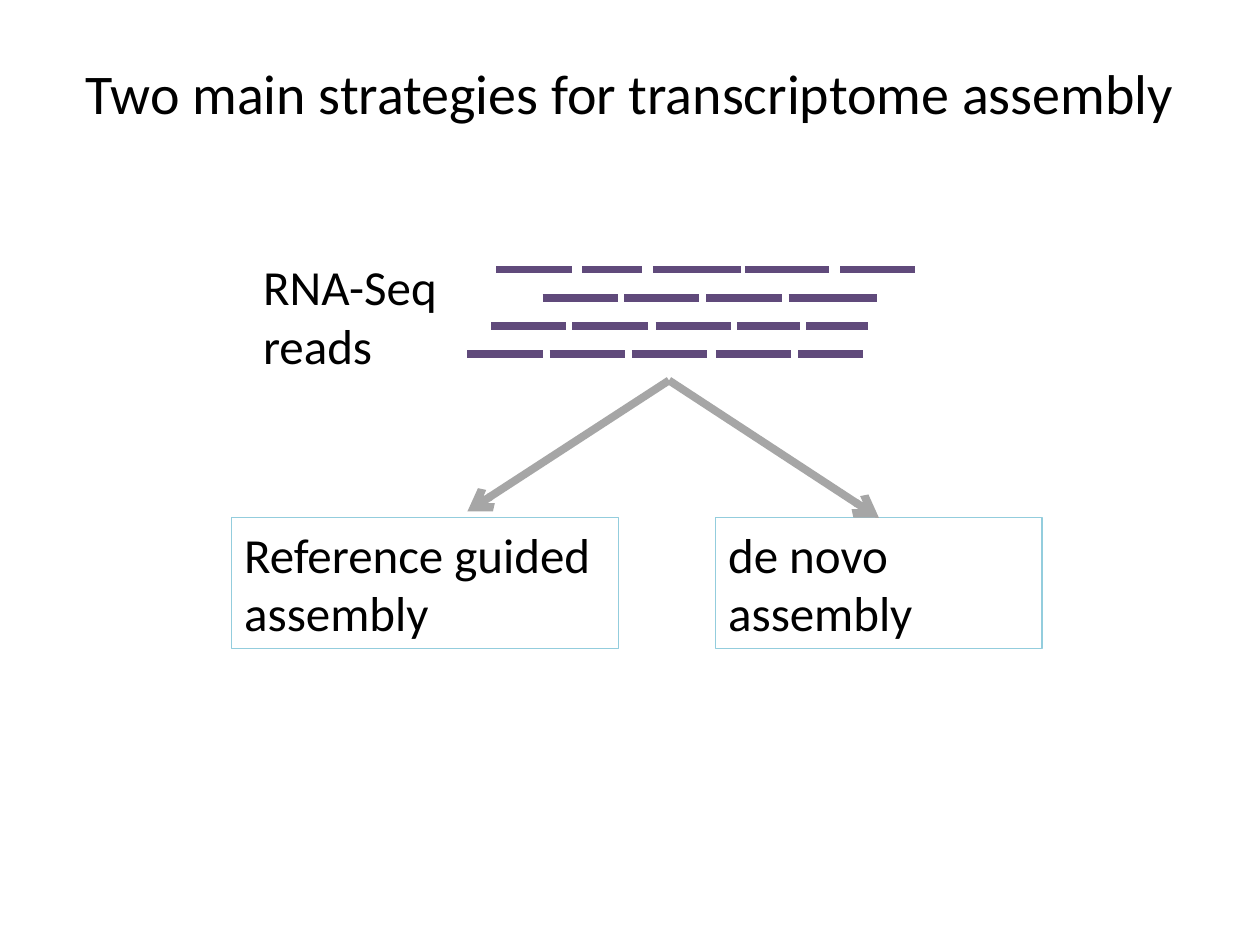
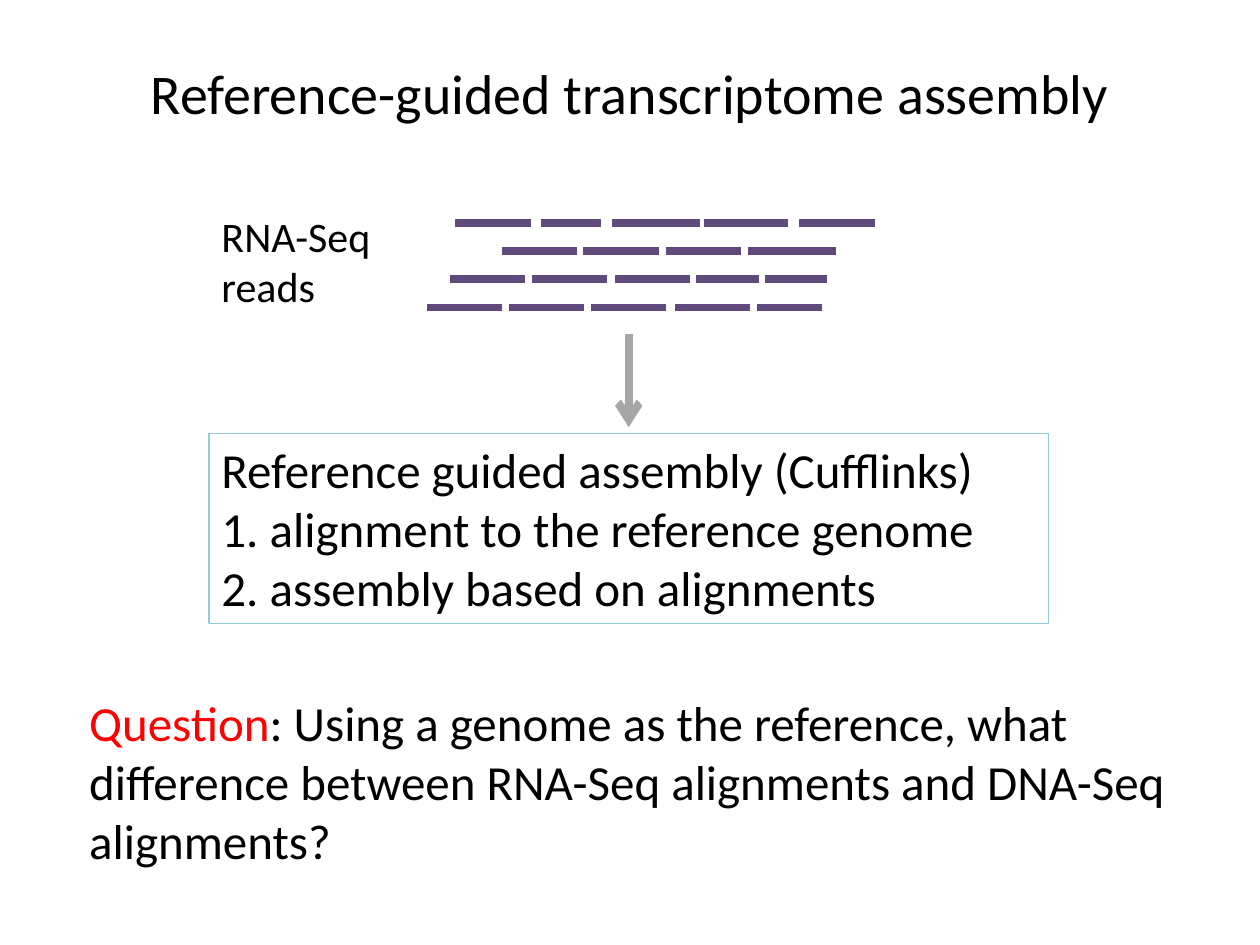
from pptx import Presentation
from pptx.dml.color import RGBColor
from pptx.enum.shapes import MSO_CONNECTOR
from pptx.enum.text import MSO_ANCHOR, MSO_AUTO_SIZE, PP_ALIGN
from pptx.oxml.ns import qn
from pptx.util import Pt
from lxml import etree

STRAIGHT = MSO_CONNECTOR.STRAIGHT
MIDDLE = MSO_ANCHOR.MIDDLE
GROW = MSO_AUTO_SIZE.SHAPE_TO_FIT_TEXT
CENTER = PP_ALIGN.CENTER

FONT = "Calibri"
COLORS = {
    "text": "000000",
    "read": "604A7B",
    "arrow": "A6A6A6",
    "box": "93CDDD",
    "question": "FF0000",
}
TITLE_ONLY = 5
ROW_PITCH = 16.1

# Offset from the left edge of the reads and length, for each row
READ_ROWS = [
    [(16.5, 43), (65.5, 34), (106, 50.5), (158.5, 48), (213, 43)],
    [(43, 43), (89.5, 43), (136.5, 43), (183.5, 50.5)],
    [(13.5, 43), (60, 43), (107.5, 43), (154, 36), (193.5, 35.5)],
    [(0, 43), (47, 43), (94, 43), (142, 43), (189, 37)],
]


def add_line(shapes, start, end, color, arrow=False):
    line = shapes.add_connector(STRAIGHT, *map(Pt, start + end))
    line.line.color.rgb = RGBColor.from_string(COLORS[color])
    line.line.width = Pt(4.5)
    properties = line._element.spPr
    if arrow:
        outline = properties.find(qn("a:ln"))
        etree.SubElement(outline, qn("a:tailEnd"), type="arrow")
    etree.SubElement(properties, qn("a:effectLst"))
    return line


def add_text(slide, text, area, size=28, outlined=False, wrap=True):
    shape = slide.shapes.add_textbox(*map(Pt, area))
    frame = shape.text_frame
    frame.word_wrap = wrap
    frame.auto_size = GROW
    frame.text = text
    for paragraph in frame.paragraphs:
        paragraph.font.name = FONT
        paragraph.font.size = Pt(size)
        paragraph.font.color.rgb = RGBColor.from_string(COLORS["text"])
    if outlined:
        shape.line.color.rgb = RGBColor.from_string(COLORS["box"])
        shape.line.width = Pt(0.75)
    return shape


presentation = Presentation()
presentation.slide_width = Pt(720)
presentation.slide_height = Pt(540)

# Title, top left of the reads, area and size of their label
slide_plans = [
    ("Two main strategies for transcriptome assembly",
     (267.1, 154), (143.3, 143.3, 115.2, 74.9), 28),
    ("Reference-guided transcriptome assembly",
     (243.8, 127.4), (119.5, 116.6, 100.8, 65.5), 24),
]
slides = []
for title_text, (reads_left, reads_top), label_area, label_size in slide_plans:
    slide = presentation.slides.add_slide(presentation.slide_layouts[TITLE_ONLY])
    slides.append(slide)

    title = slide.shapes.title
    title.left, title.top, title.width, title.height = map(Pt, (36, 21.6, 648, 62.4))
    title.text_frame.text = title_text
    title.text_frame.vertical_anchor = MIDDLE
    paragraph = title.text_frame.paragraphs[0]
    paragraph.alignment = CENTER
    paragraph.font.name = FONT
    paragraph.font.size = Pt(32)
    paragraph.font.color.rgb = RGBColor.from_string(COLORS["text"])

    for row, reads in enumerate(READ_ROWS):
        group = slide.shapes.add_group_shape()
        y = reads_top + row * ROW_PITCH
        for offset, length in reads:
            x = reads_left + offset
            add_line(group.shapes, (x, y), (x + length, y), "read")

    add_text(slide, "RNA-Seq\nreads", label_area, label_size, wrap=False)

strategies_slide, guided_slide = slides

# Two strategies
fork = (382.3, 217.4)
add_line(strategies_slide.shapes, fork, (267.1, 292.3), "arrow", arrow=True)
add_text(strategies_slide, "Reference guided\nassembly",
         (132.5, 295.9, 221, 74.9), outlined=True)
de_novo_box = add_text(strategies_slide, "de novo assembly",
                       (409, 295.9, 186.5, 74.9), outlined=True)
de_novo_arrow = add_line(strategies_slide.shapes, fork, (502.2, 295.9), "arrow", arrow=True)
de_novo_arrow.end_connect(de_novo_box, 0)

# Reference-guided assembly
add_line(guided_slide.shapes, (359.3, 190.8), (359.3, 244.1), "arrow", arrow=True)
add_text(guided_slide,
         "Reference guided assembly (Cufflinks)\n"
         "1. alignment to the reference genome\n"
         "2. assembly based on alignments",
         (119.5, 247.7, 479.5, 108.7), outlined=True)
question = add_text(guided_slide, "Question", (43.9, 392.4, 635, 108.7))
paragraph = question.text_frame.paragraphs[0]
paragraph.runs[0].font.color.rgb = RGBColor.from_string(COLORS["question"])
paragraph.add_run().text = (
    ": Using a genome as the reference, what difference between "
    "RNA-Seq alignments and DNA-Seq alignments?"
)

presentation.save("out.pptx")
